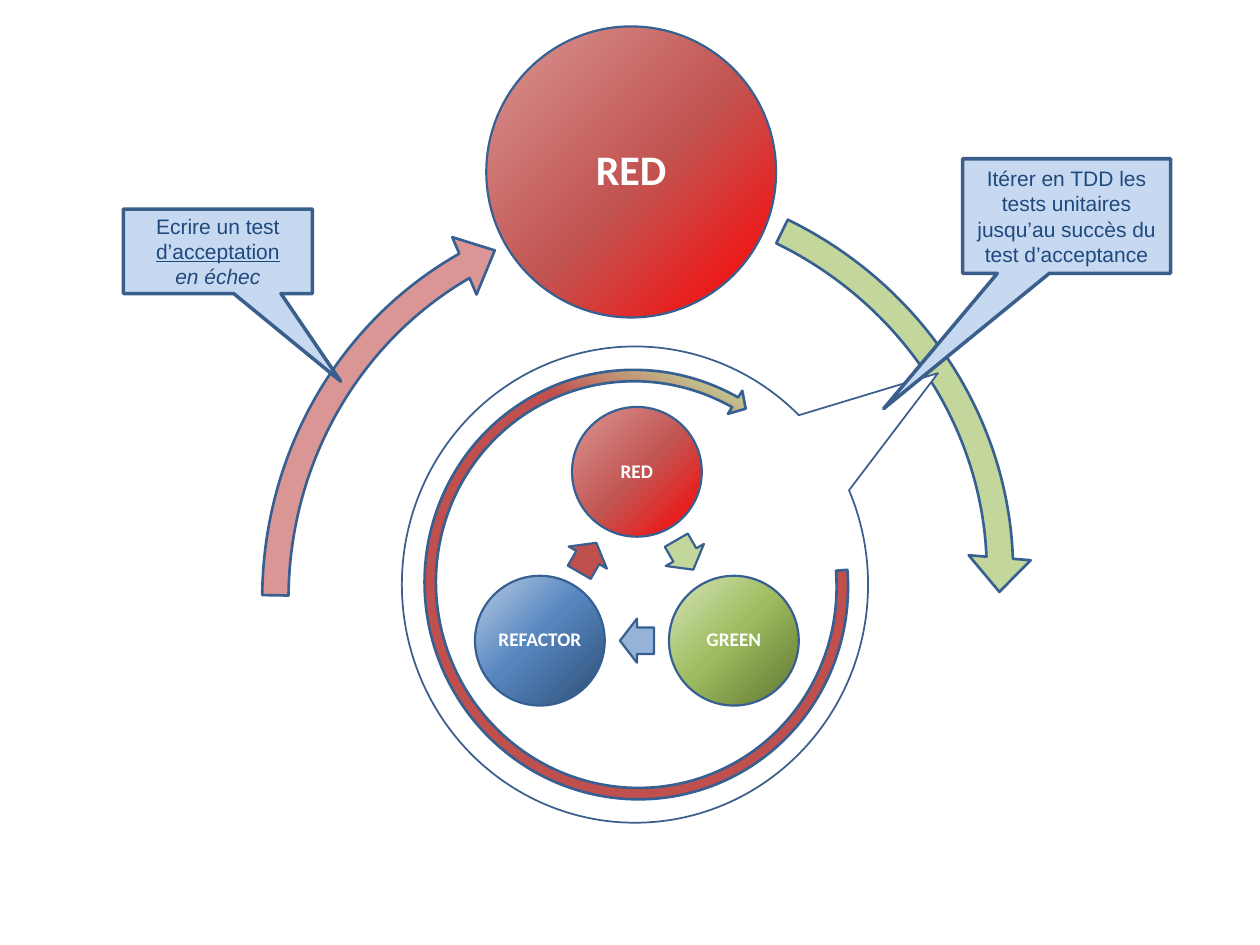
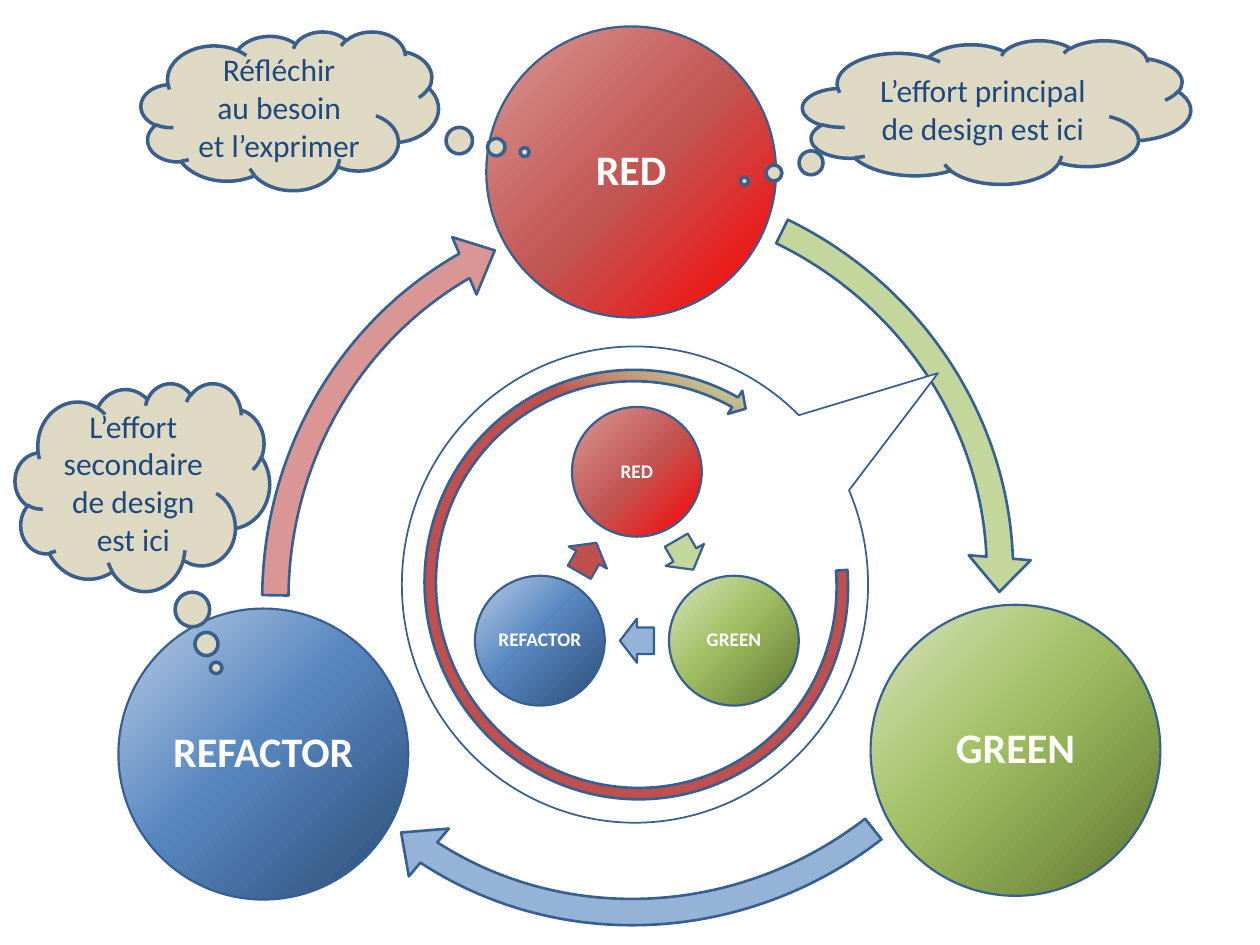
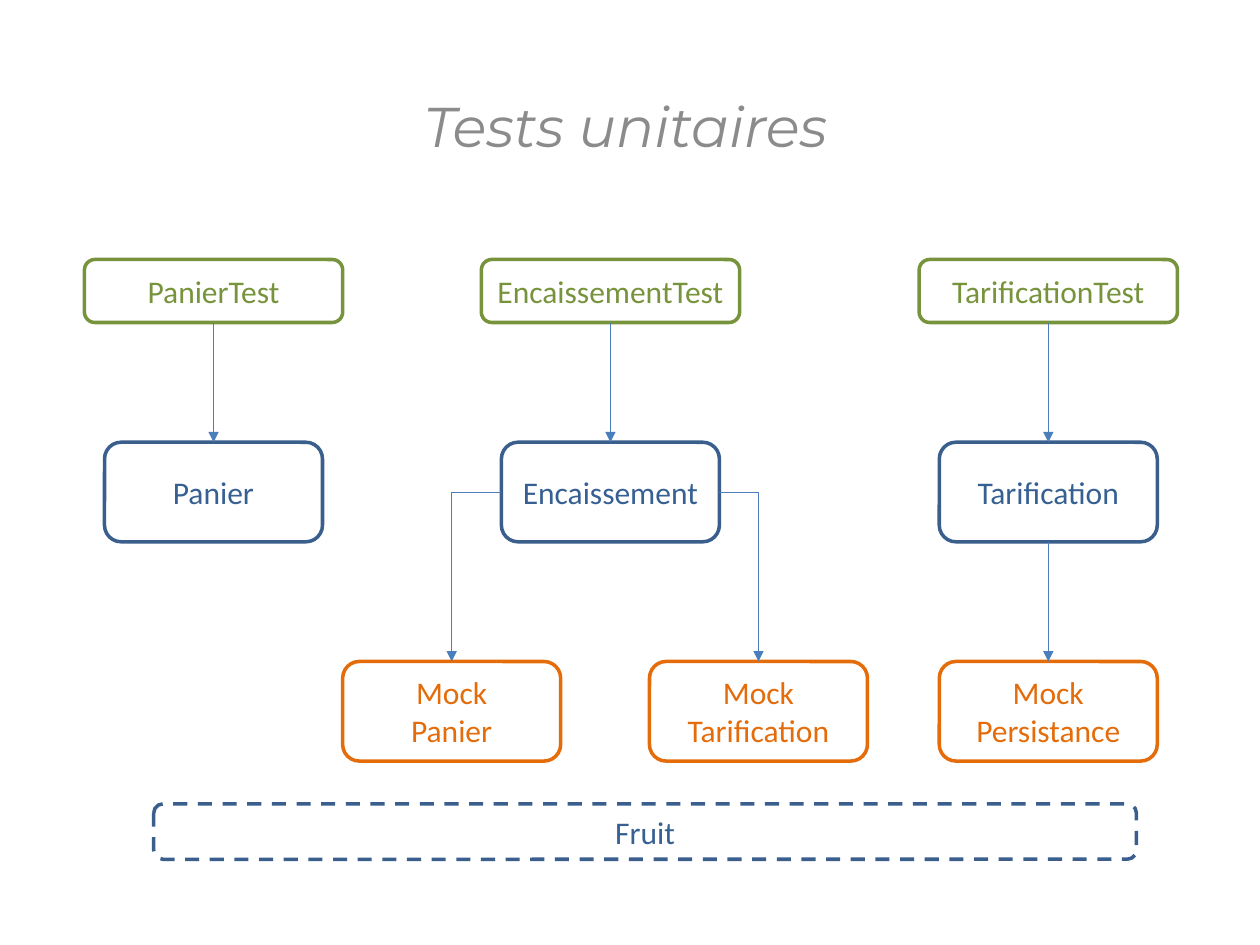
"""Build three slides on the acceptance test cycle and unit tests."""
from lxml.etree import SubElement
from pptx import Presentation
from pptx.dml.color import RGBColor
from pptx.enum.dml import MSO_LINE
from pptx.enum.shapes import MSO_CONNECTOR, MSO_SHAPE
from pptx.enum.text import MSO_ANCHOR, PP_ALIGN
from pptx.oxml.ns import qn
from pptx.util import Inches, Pt

deck = Presentation()
deck.slide_width, deck.slide_height = Inches(10), Inches(7.5)
COL, ROW = deck.slide_width / 100, deck.slide_height / 75

HUE = {
    "white": "FFFFFF", "edge": "376092", "rim": "3A5F8C", "wire": "4B7EBC",
    "ink": "1F497D", "grey": "8B8B8B", "sand": "DDD9C3", "sky": "C6D9F1",
    "lime": "C3D69B", "rose": "D99694", "blue": "95B3D7", "brick": "C0504D",
    "red": "FF0000", "clay": "C25552", "mint": "D7E4BD", "leaf": "A0BE61",
    "moss": "5F7530", "ice": "B9CDE5", "steel": "5887C0", "navy": "2C4D75",
    "test": "77933C", "mock": "E46C0A",
}
FADE = {
    "RED": (225, [(0, "red"), (48, "clay"), (100, "rose")]),
    "GREEN": (45, [(0, "mint"), (46, "leaf"), (100, "moss")]),
    "REFACTOR": (45, [(0, "ice"), (46, "steel"), (100, "navy")]),
    "loop": (45, [(20, "lime"), (32, "brick")]),
}


def draw(slide, kind, box, fill, edge="edge", weight=1.25, adj=(), turn=0):
    """Add a shape; box is left, top, width, height in columns and rows."""
    left, top, wide, high = box
    shape = slide.shapes.add_shape(
        kind, int(left * COL), int(top * ROW), int(wide * COL), int(high * ROW))
    shape.shadow.inherit = False
    shape.rotation = turn
    for num, value in enumerate(adj):
        shape.adjustments[num] = value
    if fill is None:
        shape.fill.background()
    elif fill in FADE:
        angle, stops = FADE[fill]
        shape.fill.gradient()
        shape.fill.gradient_angle = 360 - angle
        ramp = shape.element.spPr.find(qn("a:gradFill")).find(qn("a:gsLst"))
        ramp.clear()
        for place, name in stops:
            stop = SubElement(ramp, qn("a:gs"), pos=str(place * 1000))
            SubElement(stop, qn("a:srgbClr"), val=HUE[name])
    else:
        shape.fill.solid()
        shape.fill.fore_color.rgb = RGBColor.from_string(HUE[fill])
    shape.line.color.rgb = RGBColor.from_string(HUE[edge])
    shape.line.width = Pt(weight)
    return shape


def write(shape, text, size, hue, face="Calibri", bold=False):
    """Fill a shape with centred paragraphs and return them."""
    frame = shape.text_frame
    frame.text = text
    frame.word_wrap = True
    frame.vertical_anchor = MSO_ANCHOR.MIDDLE
    for para in frame.paragraphs:
        para.alignment = PP_ALIGN.CENTER
        para.font.size, para.font.name, para.font.bold = Pt(size), face, bold
        para.font.color.rgb = RGBColor.from_string(HUE[hue])
    return frame.paragraphs


ARCS = [
    ((17.5, 11.7), 112.5, 110.25, "lime"),
    ((19.4, 14.9), 355, 111.59, "rose"),
    ((19.6, 10), 237.8, 104.39, "blue"),
]
BIG = [("RED", 38.6, 2.1), ("GREEN", 69.1, 48), ("REFACTOR", 9.4, 48.3)]
SMALL = [("RED", 45.4, 32.3), ("GREEN", 53.1, 45.7), ("REFACTOR", 37.7, 45.7)]
STEPS = [(53, 42.3, 60, "lime"), (49.2, 49.1, 180, "blue"),
         (45.3, 42.5, 300, "brick")]
BOX, CLOUD = MSO_SHAPE.RECTANGULAR_CALLOUT, MSO_SHAPE.CLOUD_CALLOUT
SPEECH = [
    ((76.4, 12.6, 16.5, 9.1), (-0.88, 1.68),
     "Itérer en TDD les tests unitaires jusqu’au succès du test d’acceptance"),
    ((9.8, 16.6, 15, 6.7), (0.65, 1.54),
     "Ecrire un test\nd’acceptation\nen échec"),
]
THINK = [
    ((63.7, 3.2, 30.8, 11.4), (-0.65, 0.48),
     "L’effort principal de design est ici"),
    ((11.2, 2.5, 23.6, 12.6), (0.79, 0.26),
     "Réfléchir\nau besoin\net l’exprimer"),
    ((1.2, 30.4, 20.2, 16.5), (0.29, 0.87),
     "L’effort secondaire de design est ici"),
]
CYCLES = [
    (2, 1, BOX, "sky", SPEECH, 12, "Arial"),
    (3, 3, CLOUD, "sand", THINK, 18, "Calibri"),
]

for arcs, discs, kind, fill, notes, size, face in CYCLES:
    slide = deck.slides.add_slide(deck.slide_layouts[6])
    for spot, turn, start, hue in ARCS[:arcs]:
        draw(slide, MSO_SHAPE.CIRCULAR_ARROW, (*spot, 63.3, 65.7), hue,
             weight=1.5, adj=(0.033, 3.08, 148.18, start, 0.039), turn=turn)
    draw(slide, MSO_SHAPE.OVAL_CALLOUT, (31.9, 27.5, 37, 37.8), "white",
         "rim", 1, (0.65, -0.444))
    draw(slide, MSO_SHAPE.CIRCULAR_ARROW, (32.8, 29, 35.4, 34.8), "loop",
         weight=1.5, adj=(0.026, 2.05, 136.41, 170.94, 0.031), turn=71.1)
    for group, wide, high, points in ((BIG[:discs], 23, 23.1, 24),
                                      (SMALL, 10.3, 10.3, 11)):
        for name, left, top in group:
            disc = draw(slide, MSO_SHAPE.OVAL, (left, top, wide, high), name)
            frame = disc.text_frame
            frame.margin_left = frame.margin_right = 0
            frame.margin_top = frame.margin_bottom = 0
            write(disc, name, points, "white", bold=True)[0].line_spacing = 0.9
    for left, top, turn, hue in STEPS:
        draw(slide, MSO_SHAPE.RIGHT_ARROW, (left, top, 2.7, 3.5), hue,
             adj=(0.6, 0.5), turn=turn)
    for box, tip, text in notes:
        note = draw(slide, kind, box, fill, "rim", 2, tip)
        paras = write(note, text, size, "ink", face)
        if "échec" in text:
            paras[1].font.underline = True
            paras[2].font.italic = True

slide = deck.slides.add_slide(deck.slide_layouts[5])
title = slide.shapes.title
title.left, title.top = int(2.8 * COL), int(6.7 * ROW)
title.width, title.height = int(93.7 * COL), int(6.4 * ROW)
write(title, "Tests unitaires", 32, "grey", "Montserrat")[0].font.italic = True

LEFT, MID, RIGHT = 16.95, 48.45, 83.2
MOCKS = (35.85, 60.2, RIGHT)
TIERS = [
    (20.6, 20.5, 5, "test", "test", zip(
        (LEFT, MID, RIGHT), ("PanierTest", "EncaissementTest", "TarificationTest"))),
    (35.1, 17.3, 7.9, "rim", "edge", zip(
        (LEFT, MID, RIGHT), ("Panier", "Encaissement", "Tarification"))),
    (52.5, 17.3, 7.9, "mock", "mock", zip(
        MOCKS, ("Mock\nPanier", "Mock\nTarification", "Mock\nPersistance"))),
    (63.8, 78, 4.4, "rim", "edge", [(51.2, "Fruit")]),
]
for top, wide, high, edge, hue, cells in TIERS:
    for mid, text in cells:
        card = draw(slide, MSO_SHAPE.ROUNDED_RECTANGLE,
                    (mid - wide / 2, top, wide, high), None, edge, 2)
        write(card, text, 18, hue)
        if text == "Fruit":
            card.line.dash_style = MSO_LINE.DASH

WIRES = [(mid, 25.6, mid, 35.1) for mid in (LEFT, MID, RIGHT)]
WIRES += [(RIGHT, 43, RIGHT, 52.5), (MID - 8.65, 39.1, MOCKS[0], 52.5),
          (MID + 8.65, 39.1, MOCKS[1], 52.5)]
for x1, y1, x2, y2 in WIRES:
    kind = MSO_CONNECTOR.STRAIGHT if x1 == x2 else MSO_CONNECTOR.ELBOW
    wire = slide.shapes.add_connector(
        kind, int(x1 * COL), int(y1 * ROW), int(x2 * COL), int(y2 * ROW))
    wire.line.color.rgb = RGBColor.from_string(HUE["wire"])
    wire.line.width = Pt(0.75)
    props = wire.element.spPr
    if x1 != x2:
        props.find(qn("a:prstGeom")).set("prst", "bentConnector2")
    SubElement(props.find(qn("a:ln")), qn("a:tailEnd"), type="triangle")
    SubElement(props, qn("a:effectLst"))

deck.save("out.pptx")
